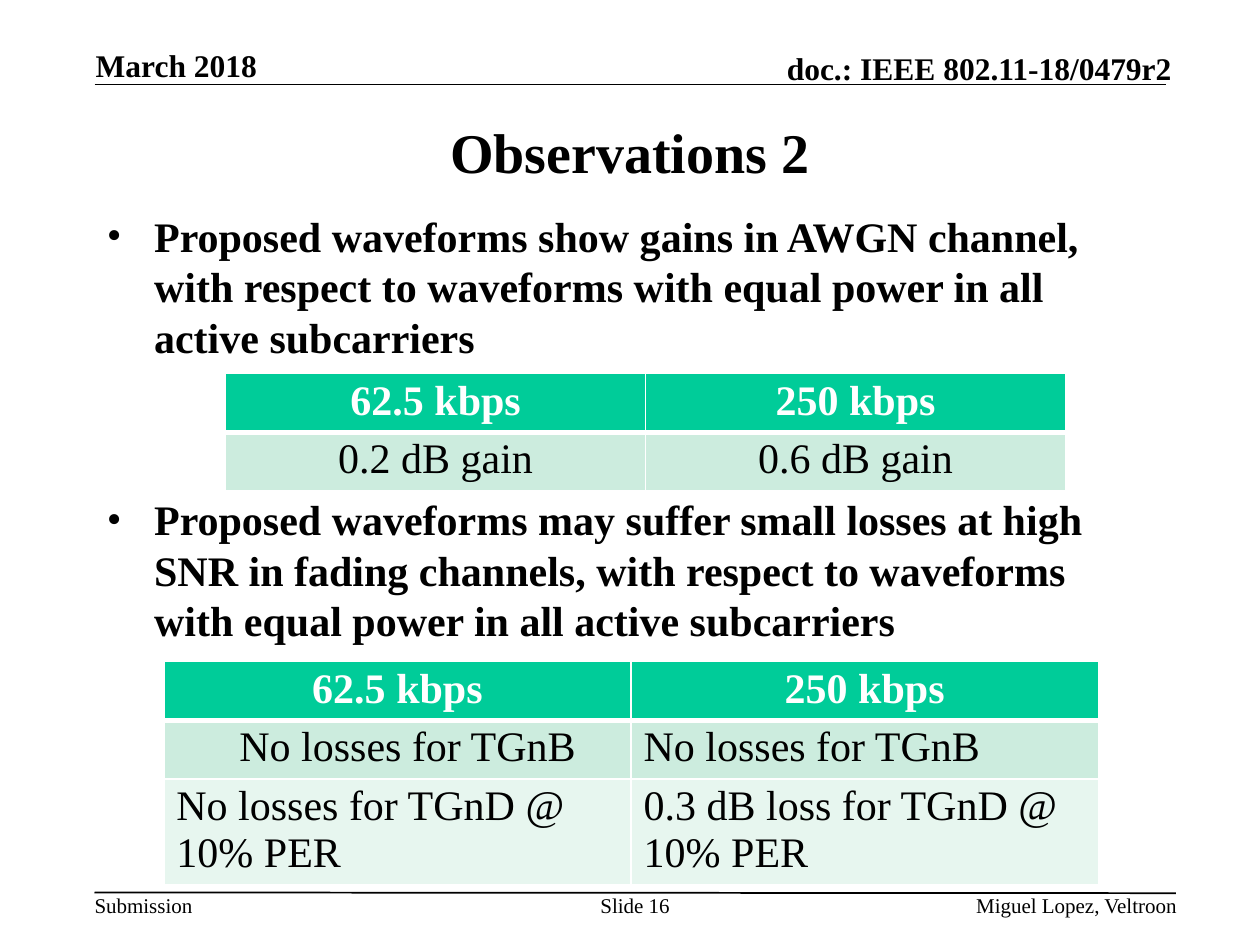
from dataclasses import dataclass

from lxml import etree
from pptx import Presentation
from pptx.dml import color
from pptx.enum import shapes, text
from pptx.oxml import ns
from pptx.util import Pt

RGBColor = color.RGBColor
BLACK = RGBColor(0, 0, 0)
WHITE = RGBColor(255, 255, 255)
GREEN = RGBColor(0x00, 0xCC, 0x99)
PALE = RGBColor(0xCC, 0xEC, 0xDE)
PALER = RGBColor(0xE7, 0xF6, 0xEF)
ROW_FILLS = [GREEN, PALE, PALER]
BOTTOM_MARGINS = [2.4, 2.4, 0.2]
FONT = "Times New Roman"
LEFT, CENTER, RIGHT = text.PP_ALIGN.LEFT, text.PP_ALIGN.CENTER, text.PP_ALIGN.RIGHT
TOP, MIDDLE, BOTTOM = (text.MSO_ANCHOR.TOP, text.MSO_ANCHOR.MIDDLE,
                       text.MSO_ANCHOR.BOTTOM)


@dataclass
class Label:
    words: str
    left: float
    top: float
    width: float
    height: float
    align: text.PP_ALIGN
    size: float = 12
    bold: bool = False
    anchor: text.MSO_ANCHOR = TOP
    wrap: bool = True


@dataclass
class Rule:
    x1: float
    y1: float
    x2: float
    y2: float


@dataclass
class Cell:
    words: str
    align: text.PP_ALIGN = CENTER
    indent: float = 0


@dataclass
class Grid:
    left: float
    top: float
    width: float
    rows: list[list[Cell]]


def set_font(p, size: float, bold: bool, rgb: RGBColor = BLACK) -> None:
    p.font.name = FONT
    p.font.size = Pt(size)
    p.font.bold = bold
    p.font.color.rgb = rgb


def add_label(slide, label: Label) -> None:
    sp = slide.shapes.add_textbox(Pt(label.left), Pt(label.top),
                                  Pt(label.width), Pt(label.height))
    tf = sp.text_frame
    tf.margin_left = tf.margin_top = tf.margin_right = tf.margin_bottom = 0
    tf.word_wrap = label.wrap
    tf.vertical_anchor = label.anchor
    p = tf.paragraphs[0]
    p.text = label.words
    p.alignment = label.align
    set_font(p, label.size, label.bold)


def add_rule(slide, rule: Rule) -> None:
    sp = slide.shapes.add_connector(shapes.MSO_CONNECTOR.STRAIGHT, Pt(rule.x1),
                                    Pt(rule.y1), Pt(rule.x2), Pt(rule.y2))
    sp.line.color.rgb = BLACK
    sp.line.width = Pt(1)
    etree.SubElement(sp._element.spPr, ns.qn("a:effectLst"))


def add_borders(cell, widths: dict[str, float]) -> None:
    tc_pr = cell._tc.get_or_add_tcPr()
    for i, (side, width) in enumerate(widths.items()):
        ln = etree.Element(ns.qn(f"a:ln{side}"), w=str(Pt(width)))
        fill = etree.SubElement(ln, ns.qn("a:solidFill"))
        etree.SubElement(fill, ns.qn("a:srgbClr"), val=str(WHITE))
        tc_pr.insert(i, ln)


def add_grid(slide, grid: Grid) -> None:
    n_rows, n_cols = len(grid.rows), len(grid.rows[0])
    table = slide.shapes.add_table(n_rows, n_cols, Pt(grid.left), Pt(grid.top),
                                   Pt(grid.width), Pt(29.2 * n_rows)).table
    table.horz_banding = False
    for i, row in enumerate(grid.rows):
        for j, item in enumerate(row):
            header = i == 0
            cell = table.cell(i, j)
            cell.margin_top = Pt(2.4)
            cell.margin_bottom = Pt(BOTTOM_MARGINS[i])
            cell.fill.solid()
            cell.fill.fore_color.rgb = ROW_FILLS[i]
            add_borders(cell, {"L": 1, "R": 1, "T": 3 if i == 1 else 1,
                               "B": 3 if header else 1})
            p = cell.text_frame.paragraphs[0]
            p.text = item.words
            p.alignment = item.align
            set_font(p, 24, header, WHITE if header else BLACK)
            if item.indent:
                p._p.get_or_add_pPr().set("marL", str(Pt(item.indent)))


def add_bullets(slide, bullets: list[tuple[str, float]]) -> None:
    sp = slide.shapes.add_textbox(Pt(54), Pt(116.64), Pt(612), Pt(324))
    tf = sp.text_frame
    tf.word_wrap = True
    for i, (words, space_before) in enumerate(bullets):
        p = tf.add_paragraph() if i else tf.paragraphs[0]
        p.text = words
        p.space_before = Pt(space_before)
        set_font(p, 24, True)
        p_pr = p._p.get_or_add_pPr()
        p_pr.set("marL", str(Pt(27)))
        p_pr.set("indent", str(Pt(-27)))
        run_defaults = p_pr.find(ns.qn("a:defRPr"))
        run_defaults.addprevious(etree.Element(ns.qn("a:buFont"), typeface=FONT))
        run_defaults.addprevious(etree.Element(ns.qn("a:buChar"), char="•"))


def add_title(slide, words: str) -> None:
    sp = slide.shapes.title
    sp.left, sp.top, sp.width, sp.height = Pt(54), Pt(44.64), Pt(612), Pt(83.52)
    tf = sp.text_frame
    tf.vertical_anchor = MIDDLE
    p = tf.paragraphs[0]
    p.text = words
    p.alignment = CENTER
    set_font(p, 32, True)


RULES = [Rule(54, 48.24, 666, 48.24), Rule(54, 510, 672, 510.4)]
LABELS = [
    Label("March 2018", 54.72, 26.5, 147.6, 21.6, LEFT, 18, True, BOTTOM),
    Label("doc.: IEEE 802.11-18/0479r2", 393.8, 28, 275.8, 21.6, RIGHT, 18, True,
          BOTTOM),
    Label("Submission", 54, 510, 56, 14.4, LEFT, wrap=False),
    Label("Slide 16", 342, 510, 41.8, 28.8, CENTER),
    Label("Miguel Lopez, Veltroon", 421.9, 510, 250.6, 14.4, RIGHT),
]
BULLETS = [
    ("Proposed waveforms show gains in AWGN channel, with respect to waveforms "
     "with equal power in all active subcarriers", 6),
    ("Proposed waveforms may suffer small losses at high SNR in fading channels, "
     "with respect to waveforms with equal power in all active subcarriers", 75.7),
]
RATES = [Cell("62.5 kbps"), Cell("250 kbps")]
GRIDS = [
    Grid(128.9, 213.4, 480, [RATES, [Cell("0.2 dB gain"), Cell("0.6 dB gain")]]),
    Grid(93.6, 378, 534, [
        RATES,
        [Cell("No losses for TGnB", LEFT, 36), Cell("No losses for TGnB", LEFT)],
        [Cell("No losses for TGnD @ 10% PER", LEFT),
         Cell("0.3 dB loss for TGnD @ 10% PER", LEFT)],
    ]),
]

prs = Presentation()
prs.slide_width, prs.slide_height = Pt(720), Pt(540)
slide = prs.slides.add_slide(prs.slide_layouts[5])
add_title(slide, "Observations 2")
for rule in RULES:
    add_rule(slide, rule)
for label in LABELS:
    add_label(slide, label)
add_bullets(slide, BULLETS)
for grid in GRIDS:
    add_grid(slide, grid)
prs.save("out.pptx")
